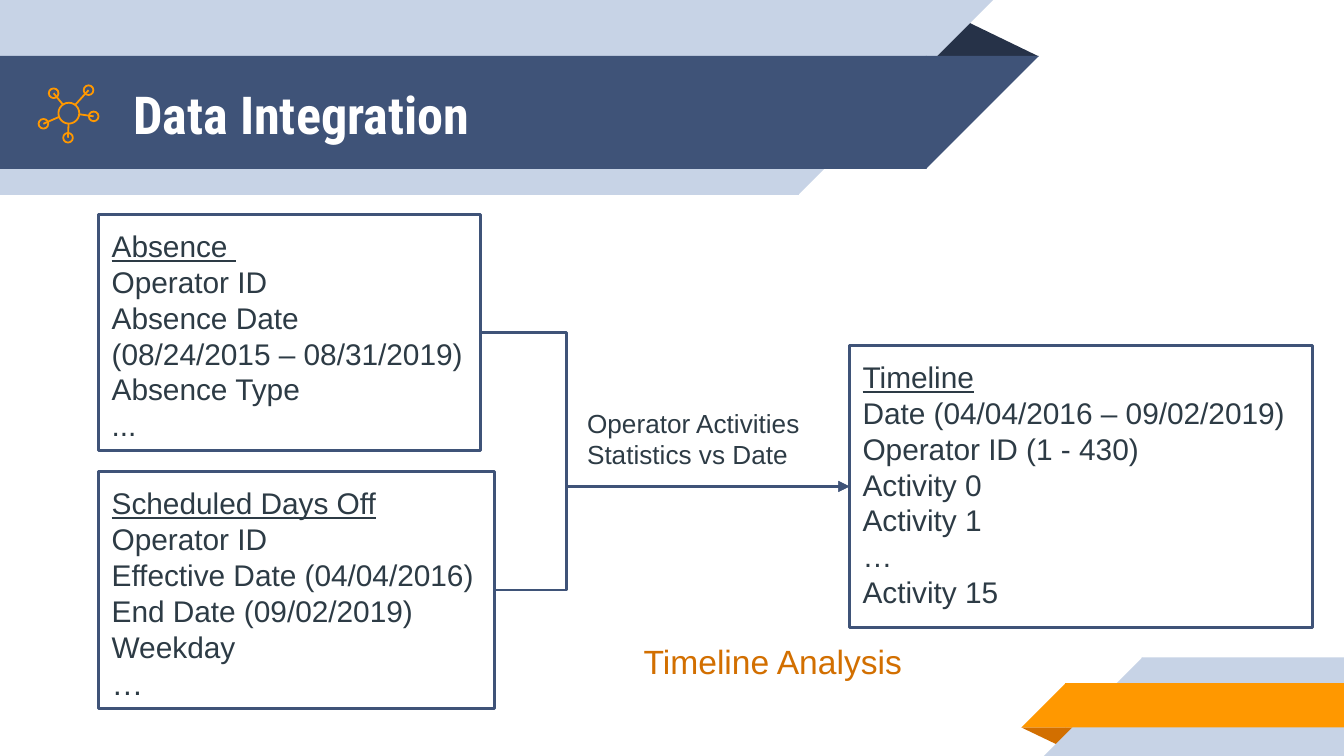
from typing import NamedTuple

from lxml import etree
from pptx import Presentation
from pptx.dml.color import RGBColor
from pptx.enum.shapes import MSO_CONNECTOR, MSO_SHAPE
from pptx.enum.text import MSO_ANCHOR, PP_ALIGN
from pptx.oxml.ns import qn
from pptx.util import Inches, Pt

RECT, OVAL = MSO_SHAPE.RECTANGLE, MSO_SHAPE.OVAL
CORNER, PEAK = MSO_SHAPE.RIGHT_TRIANGLE, MSO_SHAPE.ISOSCELES_TRIANGLE
ELBOW, STRAIGHT = MSO_CONNECTOR.ELBOW, MSO_CONNECTOR.STRAIGHT
TOP, MIDDLE = MSO_ANCHOR.TOP, MSO_ANCHOR.MIDDLE
LEFT, CENTER = PP_ALIGN.LEFT, PP_ALIGN.CENTER

COLORS = {
    "navy": "3F5378", "dark": "263248", "pale": "C7D3E6", "orange": "FF9800",
    "rust": "D26F00", "text": "2D3B45", "white": "FFFFFF",
}
COLS, ROWS = 100, 56.25  # square cells, a tenth of an inch each
CELL = Inches(10) / COLS


class Area(NamedTuple):
    col: float
    row: float
    wide: float
    high: float


class Band(NamedTuple):
    """A bar whose slanted end is a square corner piece."""
    bar: Area
    color: str
    right: bool  # the slant is on the right, else on the left


class Fold(NamedTuple):
    area: Area
    color: str
    turn: int


class Label(NamedTuple):
    area: Area
    text: str
    size: int
    color: str
    font: str = "Arial"
    bold: bool = False
    align: PP_ALIGN = LEFT
    anchor: MSO_ANCHOR = TOP


class Table(NamedTuple):
    area: Area
    name: str
    fields: list[str]
    last: int = 16


class Spoke(NamedTuple):
    """A node's center, and the point where its line meets the hub."""
    col: float
    row: float
    hub_col: float
    hub_row: float


FOLDS = [
    Fold(Area(68.8, 1.4, 8.5, 2.8), "dark", 0),
    Fold(Area(76, 54.13, 4.3, 1.4), "rust", 180),
]
BANDS = [
    Band(Area(0, 0, 59.4, 14.5), "pale", True),
    Band(Area(0, 4.17, 68.9, 8.4), "navy", True),
    Band(Area(85, 48.92, 15, 7.33), "pale", False),
    Band(Area(79.3, 50.83, 20.7, 3.3), "orange", False),
]
LABELS = [
    Label(Area(8.95, 4.25, 62.3, 8.4), "Data Integration", 28, "white",
          "Roboto Condensed", True, anchor=MIDDLE),
    Label(Area(42.7, 29.3, 20.4, 4.8),
          "Operator Activities Statistics vs Date", 14, "text"),
    Label(Area(41.1, 46.7, 32.8, 4.4), "Timeline Analysis", 18, "rust",
          align=CENTER),
]
SOURCES = [
    Table(Area(7.33, 15.95, 28.4, 17.6), "Absence ",
          ["Operator ID", "Absence Date (08/24/2015 – 08/31/2019)",
           "Absence Type", "..."]),
    Table(Area(7.33, 35.1, 29.45, 17.6), "Scheduled Days Off",
          ["Operator ID", "Effective Date (04/04/2016)",
           "End Date (09/02/2019)", "Weekday", "…"], 17),
]
TARGET = Table(Area(63.2, 25.7, 34.45, 21), "Timeline",
               ["Date (04/04/2016 – 09/02/2019)", "Operator ID (1 - 430)",
                "Activity 0", "Activity 1", "…", "Activity 15"])
BEND = 42.13  # column where both arrows turn
LAP = 0.05  # how far a bar reaches under its corner piece
HUB = Area(4.35, 7.65, 1.55, 1.55)
NODE = 0.72
SPOKES = [
    Spoke(6.59, 6.71, 5.6, 7.8), Spoke(3.99, 6.94, 4.7, 7.8),
    Spoke(3.23, 9.21, 4.4, 8.7), Spoke(5.06, 10.25, 5.1, 9.2),
    Spoke(6.97, 8.66, 5.9, 8.5),
]


def rgb(color: str) -> RGBColor:
    return RGBColor.from_string(COLORS[color])


def place(area: Area) -> list[int]:
    return [round(n * CELL) for n in area]


def draw_shape(shapes, kind, area: Area, fill=None, line=None, width=1.5):
    shape = shapes.add_shape(kind, *place(area))
    shape.shadow.inherit = False
    if fill:
        shape.fill.solid()
        shape.fill.fore_color.rgb = rgb(fill)
    else:
        shape.fill.background()
    if line:
        shape.line.color.rgb = rgb(line)
        shape.line.width = Pt(width)
    else:
        shape.line.fill.background()
    return shape


def draw_line(shapes, kind, ends: Area, color: str, width: float):
    line = shapes.add_connector(kind, *place(ends))
    line.line.color.rgb = rgb(color)
    line.line.width = Pt(width)
    etree.SubElement(line._element.spPr, qn("a:effectLst"))
    return line


def draw_fold(shapes, fold: Fold) -> None:
    shape = draw_shape(shapes, PEAK, fold.area, fold.color)
    shape.adjustments[0] = 0.32
    shape.rotation = fold.turn


def draw_band(shapes, band: Band) -> None:
    col, row, wide, high = band.bar
    left = col if band.right else col - LAP
    draw_shape(shapes, RECT, Area(left, row, wide + LAP, high), band.color)
    tip = col + wide if band.right else col - high
    end = draw_shape(shapes, CORNER, Area(tip, row, high, high), band.color)
    end.rotation = 90 if band.right else 270


def set_frame(frame, anchor: MSO_ANCHOR, right: float = 1) -> None:
    frame.word_wrap = True
    frame.vertical_anchor = anchor
    frame.margin_left = frame.margin_top = frame.margin_bottom = round(CELL)
    frame.margin_right = round(right * CELL)


def set_font(para, size: int, color: str, name: str = "Arial") -> None:
    para.font.size = Pt(size)
    para.font.name = name
    para.font.color.rgb = rgb(color)


def draw_label(shapes, label: Label) -> None:
    frame = shapes.add_textbox(*place(label.area)).text_frame
    set_frame(frame, label.anchor)
    para = frame.paragraphs[0]
    para.text = label.text
    para.alignment = label.align
    set_font(para, label.size, label.color, label.font)
    para.font.bold = label.bold


def draw_table(shapes, table: Table):
    """Draw a box with an underlined name above its fields."""
    box = draw_shape(shapes, RECT, table.area, line="navy")
    frame = box.text_frame
    set_frame(frame, TOP, 1.1)
    frame.text = "\n".join([table.name, *table.fields])
    for para in frame.paragraphs:
        para.alignment = LEFT
        set_font(para, 16, "text")
    frame.paragraphs[0].font.underline = True
    frame.paragraphs[-1].font.size = Pt(table.last)
    return box


def draw_arrow(shapes, start, end) -> None:
    arrow = draw_line(shapes, ELBOW, Area(0, 0, 1, 1), "navy", 1.5)
    arrow.begin_connect(start, 3)
    arrow.end_connect(end, 1)
    share = (BEND * CELL - arrow.begin_x) / (arrow.end_x - arrow.begin_x)
    guides = arrow._element.spPr.find(qn("a:prstGeom")).get_or_add_avLst()
    etree.SubElement(guides, qn("a:gd"), name="adj1",
                     fmla=f"val {round(share * 100000)}")
    etree.SubElement(arrow.line._get_or_add_ln(), qn("a:tailEnd"),
                     type="triangle")


def draw_icon(shapes) -> None:
    draw_shape(shapes, OVAL, HUB, line="orange", width=0.96)
    for spoke in SPOKES:
        node = Area(spoke.col - NODE / 2, spoke.row - NODE / 2, NODE, NODE)
        draw_shape(shapes, OVAL, node, line="orange", width=0.96)
        draw_line(shapes, STRAIGHT, Area(*spoke), "orange", 0.96)


def main() -> None:
    deck = Presentation()
    deck.slide_width, deck.slide_height = round(COLS * CELL), round(ROWS * CELL)
    shapes = deck.slides.add_slide(deck.slide_layouts[6]).shapes
    for fold in FOLDS:
        draw_fold(shapes, fold)
    for band in BANDS:
        draw_band(shapes, band)
    for label in LABELS:
        draw_label(shapes, label)
    target = draw_table(shapes, TARGET)
    for source in SOURCES:
        draw_arrow(shapes, draw_table(shapes, source), target)
    draw_icon(shapes)
    deck.save("out.pptx")


if __name__ == "__main__":
    main()
